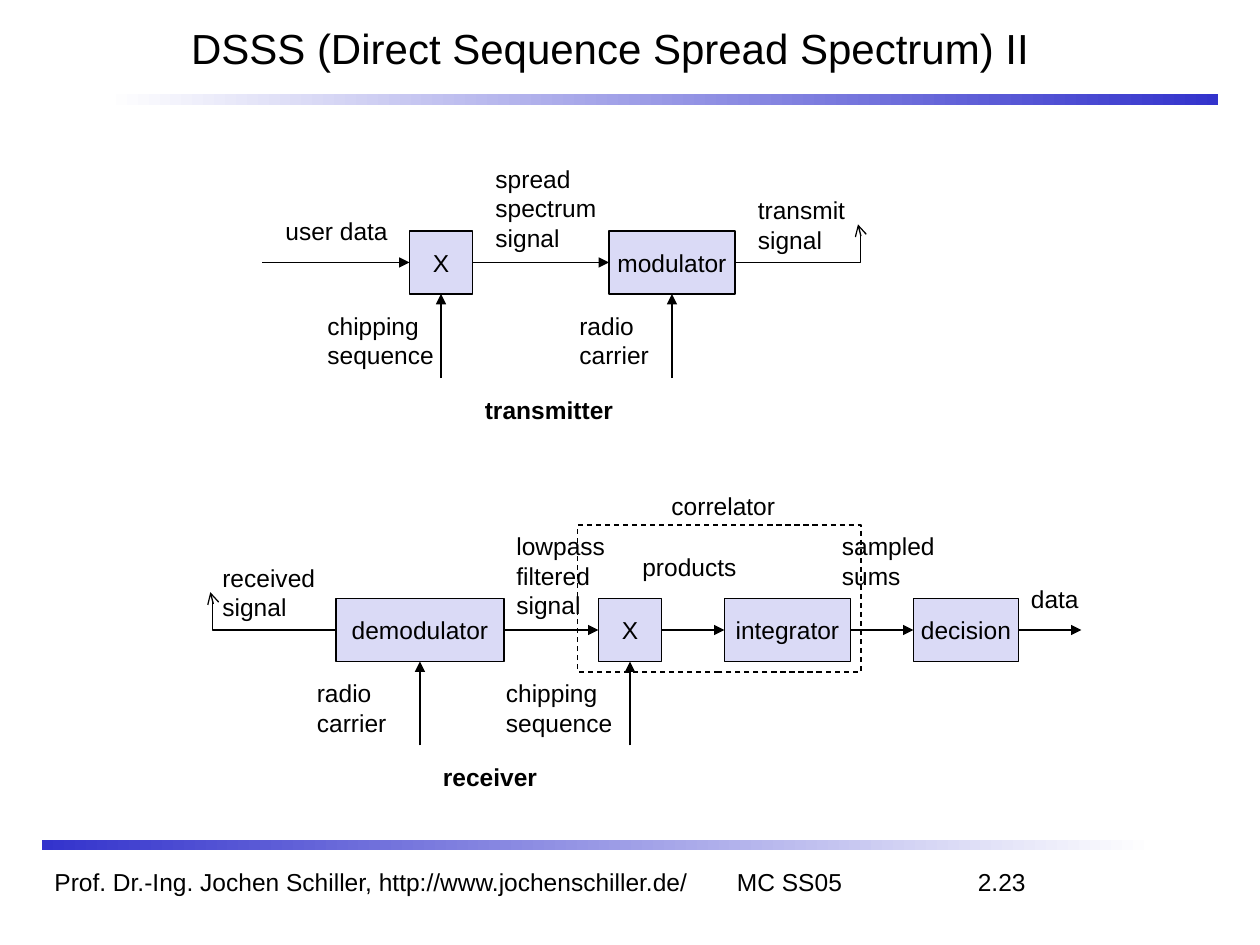
from dataclasses import dataclass

import lxml.etree
import pptx
import pptx.dml.color
import pptx.enum.dml
import pptx.enum.shapes
import pptx.enum.text
import pptx.oxml.ns
import pptx.util

Pt = pptx.util.Pt
qn = pptx.oxml.ns.qn
RECT = pptx.enum.shapes.MSO_SHAPE.RECTANGLE
CONNECTOR = pptx.enum.shapes.MSO_CONNECTOR
PP_ALIGN = pptx.enum.text.PP_ALIGN
ANCHOR = pptx.enum.text.MSO_ANCHOR
AUTO_SIZE = pptx.enum.text.MSO_AUTO_SIZE

COLORS = {"text": "000000", "block": "DADAF6", "bar": "3333CC", "paper": "FFFFFF"}
BLOCK_HEIGHT = 36
INPUT_LENGTH = 48
LINE_WIDTH = 0.75
TOP, LEFT, BOTTOM, RIGHT = range(4)


@dataclass
class Block:
    name: str
    text: str
    x: float
    y: float
    width: float


@dataclass
class Label:
    text: str
    x: float
    y: float
    width: float
    bold: bool = False


@dataclass
class Elbow:
    begin: tuple[float, float]
    end: tuple[float, float]
    bend: float
    arrow_tag: str


BLOCKS = [
    Block("spreader", "X", 234, 132, 36),
    Block("modulator", "modulator", 348, 132, 72),
    Block("demodulator", "demodulator", 192, 342, 96),
    Block("despreader", "X", 342, 342, 36),
    Block("integrator", "integrator", 414, 342, 72),
    Block("decision", "decision", 522, 342, 60),
]

LINKS = [
    ("spreader", "modulator"),
    ("demodulator", "despreader"),
    ("despreader", "integrator"),
    ("integrator", "decision"),
]

INPUTS_FROM_BELOW = ["spreader", "modulator", "demodulator", "despreader"]

ANTENNAS = [
    Elbow((420, 150), (490.3, 128.2), 1.02, "a:tailEnd"),
    Elbow((120.2, 338.4), (192, 360), 0.02, "a:headEnd"),
]

LABELS = [
    Label("user data", 156, 120, 74),
    Label("chipping\nsequence", 180, 174, 77),
    Label("radio\ncarrier", 324, 174, 55),
    Label("spread\nspectrum\nsignal", 276, 90, 73),
    Label("transmit\nsignal", 426, 108, 66),
    Label("transmitter", 270, 222, 89, True),
    Label("received\nsignal", 120, 318, 69),
    Label("radio\ncarrier", 174, 384, 55),
    Label("chipping\nsequence", 282, 384, 77),
    Label("lowpass\nfiltered\nsignal", 288, 300, 66),
    Label("receiver", 246, 432, 70, True),
    Label("products", 360, 312, 69),
    Label("data", 582, 330, 43),
    Label("sampled\nsums", 474, 300, 69),
    Label("correlator", 376.6, 277.2, 75),
]


def rgb(name: str) -> pptx.dml.color.RGBColor:
    return pptx.dml.color.RGBColor.from_string(COLORS[name])


def style(p, size: float = 14, bold: bool = False, align=PP_ALIGN.LEFT) -> None:
    p.alignment = align
    p.font.name = "Arial"
    p.font.size = Pt(size)
    p.font.bold = bold
    p.font.color.rgb = rgb("text")


def add_rect(slide, x: float, y: float, width: float, height: float):
    sp = slide.shapes.add_shape(RECT, Pt(x), Pt(y), Pt(width), Pt(height))
    sp.shadow.inherit = False
    sp.fill.background()
    sp.line.color.rgb = rgb("text")
    sp.line.width = Pt(LINE_WIDTH)
    return sp


def add_bar(slide, x: float, y: float, start: str, end: str) -> None:
    sp = add_rect(slide, x, y, 636, 6)
    sp.line.fill.background()
    sp.fill.gradient()
    sp.fill.gradient_angle = 0
    for stop, position, color in zip(sp.fill.gradient_stops, (0, 1), (start, end)):
        stop.position = position
        stop.color.rgb = rgb(color)


def add_block(slide, block: Block):
    sp = add_rect(slide, block.x, block.y, block.width, BLOCK_HEIGHT)
    sp.fill.solid()
    sp.fill.fore_color.rgb = rgb("block")
    tf = sp.text_frame
    tf.word_wrap = False
    tf.vertical_anchor = ANCHOR.MIDDLE
    tf.text = block.text
    style(tf.paragraphs[0], align=PP_ALIGN.CENTER)
    return sp


def add_label(slide, label: Label) -> None:
    height = 7.5 + 16.75 * len(label.text.split("\n"))
    tf = slide.shapes.add_textbox(
        Pt(label.x), Pt(label.y), Pt(label.width), Pt(height)
    ).text_frame
    tf.word_wrap = False
    tf.auto_size = AUTO_SIZE.SHAPE_TO_FIT_TEXT
    tf.text = label.text
    for p in tf.paragraphs:
        style(p, bold=label.bold)


def add_line(slide, kind, begin, end, arrow: str, tag: str = "a:tailEnd"):
    cxn = slide.shapes.add_connector(kind, *(Pt(v) for v in (*begin, *end)))
    cxn.line.color.rgb = rgb("text")
    cxn.line.width = Pt(LINE_WIDTH)
    ln = cxn.line._get_or_add_ln()
    lxml.etree.SubElement(ln, qn(tag), type=arrow)
    lxml.etree.SubElement(cxn._element.spPr, qn("a:effectLst"))
    return cxn


def add_arrow(slide, begin: tuple[float, float], end: tuple[float, float]):
    return add_line(slide, CONNECTOR.STRAIGHT, begin, end, "triangle")


def add_elbow(slide, elbow: Elbow) -> None:
    cxn = add_line(
        slide, CONNECTOR.ELBOW, elbow.begin, elbow.end, "arrow", elbow.arrow_tag
    )
    guides = cxn._element.spPr.find(qn("a:prstGeom")).get_or_add_avLst()
    value = f"val {round(elbow.bend * 100000)}"
    lxml.etree.SubElement(guides, qn("a:gd"), name="adj1", fmla=value)


def add_title(slide, text: str) -> None:
    sp = slide.shapes.title
    sp.left, sp.top, sp.width, sp.height = Pt(102), Pt(0), Pt(606), Pt(54)
    tf = sp.text_frame
    tf.vertical_anchor = ANCHOR.MIDDLE
    tf.text = text
    style(tf.paragraphs[0], size=24)


def add_footer(slide, text: str) -> None:
    tf = slide.shapes.add_textbox(Pt(24), Pt(492), Pt(630), Pt(24)).text_frame
    tf.word_wrap = True
    tf.text = text
    p = tf.paragraphs[0]
    tabs = lxml.etree.SubElement(p._p.get_or_add_pPr(), qn("a:tabLst"))
    for position, align in ((390, "l"), (555, "r")):
        lxml.etree.SubElement(tabs, qn("a:tab"), pos=str(Pt(position)), algn=align)
    style(p)


def main() -> None:
    prs = pptx.Presentation()
    prs.slide_width, prs.slide_height = Pt(720), Pt(540)
    slide = prs.slides.add_slide(prs.slide_layouts[5])
    add_bar(slide, 60, 54, "paper", "bar")
    add_bar(slide, 24, 480, "bar", "paper")
    add_title(slide, "DSSS (Direct Sequence Spread Spectrum) II")
    add_footer(
        slide,
        "Prof. Dr.-Ing. Jochen Schiller, http://www.jochenschiller.de/\tMC SS05\t2.23",
    )

    correlator = add_rect(slide, 330, 300, 162, 84)
    correlator.line.dash_style = pptx.enum.dml.MSO_LINE.DASH

    shapes = {block.name: add_block(slide, block) for block in BLOCKS}
    for source, target in LINKS:
        cxn = add_arrow(slide, (0, 0), (0, 0))
        cxn.begin_connect(shapes[source], RIGHT)
        cxn.end_connect(shapes[target], LEFT)
    for block in BLOCKS:
        if block.name in INPUTS_FROM_BELOW:
            x, y = block.x + block.width / 2, block.y + BLOCK_HEIGHT
            cxn = add_arrow(slide, (x, y + INPUT_LENGTH), (x, y))
            cxn.end_connect(shapes[block.name], BOTTOM)
    add_arrow(slide, (150, 150), (234, 150)).end_connect(shapes["spreader"], LEFT)
    add_arrow(slide, (582, 360), (618, 360)).begin_connect(shapes["decision"], RIGHT)

    for elbow in ANTENNAS:
        add_elbow(slide, elbow)
    for label in LABELS:
        add_label(slide, label)
    prs.save("out.pptx")


if __name__ == "__main__":
    main()
